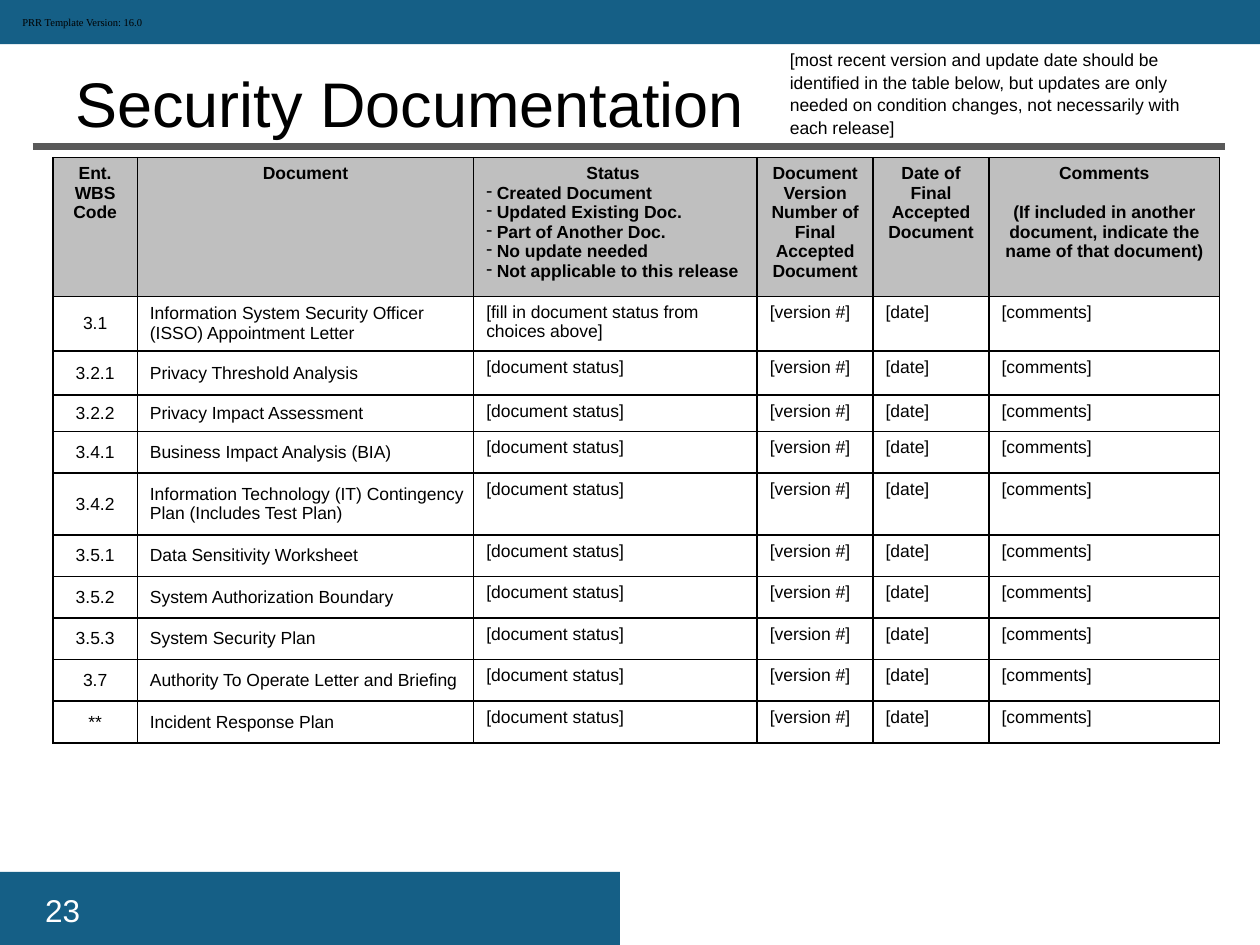
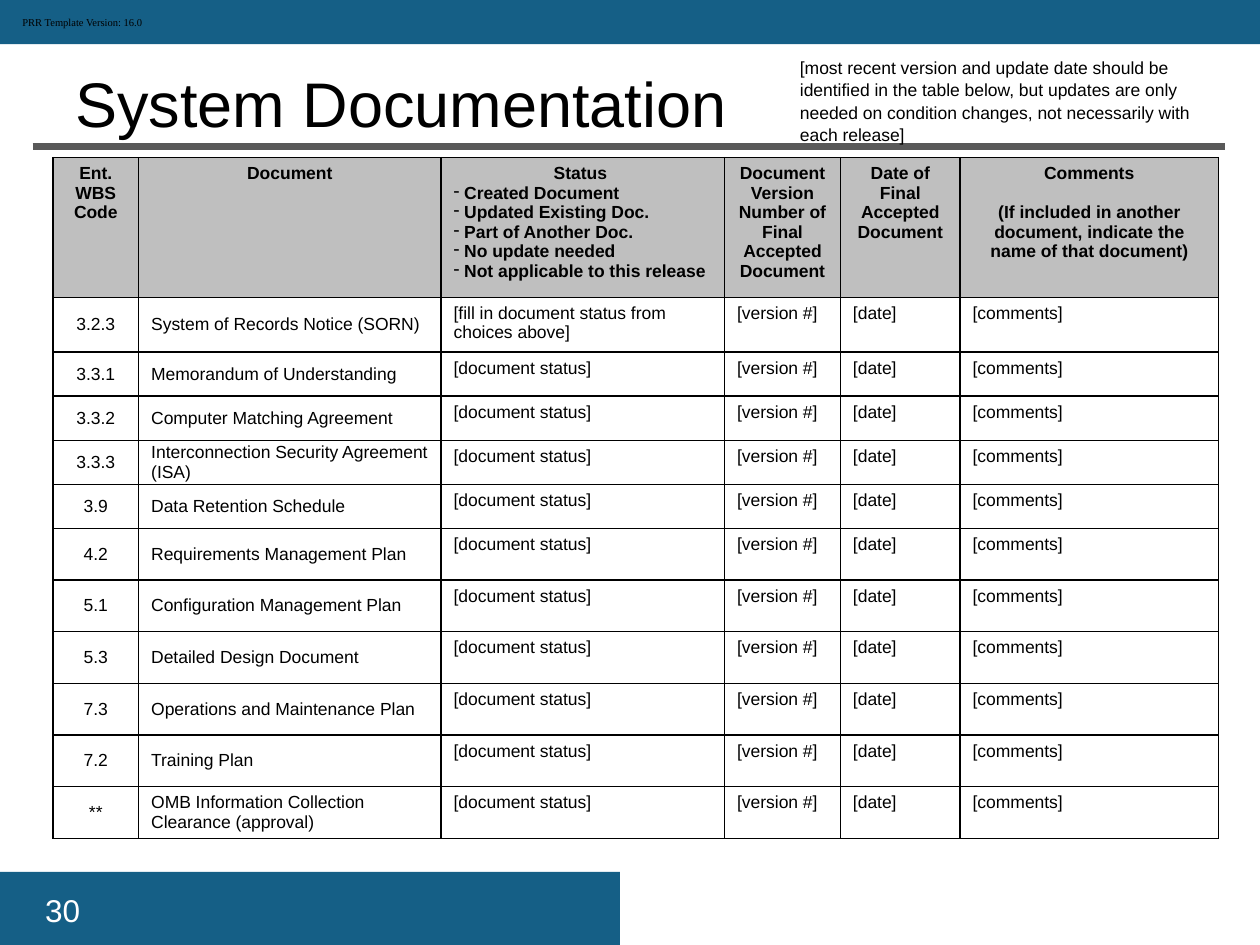
from dataclasses import dataclass

from lxml import etree
from pptx import Presentation
from pptx.dml.color import RGBColor
from pptx.enum.shapes import MSO_CONNECTOR, MSO_SHAPE
from pptx.enum.text import MSO_ANCHOR, PP_ALIGN
from pptx.oxml.ns import qn
from pptx.util import Inches, Pt

RECT = MSO_SHAPE.RECTANGLE
LINE = MSO_CONNECTOR.STRAIGHT
LEFT, CENTER = PP_ALIGN.LEFT, PP_ALIGN.CENTER
TOP, MIDDLE, BOTTOM = MSO_ANCHOR.TOP, MSO_ANCHOR.MIDDLE, MSO_ANCHOR.BOTTOM


# Colours, fonts and type sizes
@dataclass(frozen=True)
class Theme:
    band: str = "155F86"
    rule: str = "595959"
    head: str = "BFBFBF"
    ink: str = "000000"
    white: str = "FFFFFF"
    sans: str = "Arial"
    serif: str = "Times New Roman"
    title: float = 36
    page: float = 18
    body: float = 10
    stamp: float = 6
    lead: float = 1.07


@dataclass(frozen=True)
class Box:
    left: float
    top: float
    width: float
    height: float

    def place(self) -> tuple:
        return tuple(Inches(n) for n in (self.left, self.top, self.width, self.height))


@dataclass(frozen=True)
class Page:
    title: str
    number: int
    note: Box
    cols: list[float]
    rows: list[float]
    items: list[tuple[str, str]]


THEME = Theme()

# Wording shared by both slides
STAMP = "PRR Template Version: 16.0"
NOTE = ("[most recent version and update date should be identified in the table below, "
        "but updates are only needed on condition changes, not necessarily with each release]")
HEADS = [
    ["Ent. WBS Code"],
    ["Document"],
    ["Status ", " Created Document", " Updated Existing Doc.", " Part of Another Doc.",
     " No update needed", " Not applicable to this release"],
    ["Document Version Number of Final Accepted Document"],
    ["Date of Final Accepted Document"],
    ["Comments", "(If included in another document, indicate the name of that document)"],
]
STATUS, REMARK = 2, 5
FIRST = "[fill in document status from choices above]"
OTHER = "[document status]"
BLANKS = ["[version #]", "[date]", "[comments]"]

PAGES = [
    Page("Security Documentation", 23, Box(6.17, 0.33, 3.58, 0.77),
         [0.67, 2.67, 2.25, 0.92, 0.92, 1.83],
         [1.09, 0.41, 0.35, 0.29, 0.33, 0.49] + [0.33] * 5,
         [("3.1", "Information System Security Officer (ISSO) Appointment Letter"),
          ("3.2.1", "Privacy Threshold Analysis"),
          ("3.2.2", "Privacy Impact Assessment"),
          ("3.4.1", "Business Impact Analysis (BIA)"),
          ("3.4.2", "Information Technology (IT) Contingency Plan (Includes Test Plan)"),
          ("3.5.1", "Data Sensitivity Worksheet"),
          ("3.5.2", "System Authorization Boundary"),
          ("3.5.3", "System Security Plan"),
          ("3.7", "Authority To Operate Letter and Briefing"),
          ("**", "Incident Response Plan")]),
    Page("System Documentation", 30, Box(6.25, 0.39, 3.58, 0.77),
         [0.68, 2.4, 2.25, 0.92, 0.95, 2.05],
         [1.11, 0.43] + [0.35] * 4 + [0.41] * 6,
         [("3.2.3", "System of Records Notice (SORN)"),
          ("3.3.1", "Memorandum of Understanding"),
          ("3.3.2", "Computer Matching Agreement"),
          ("3.3.3", "Interconnection Security Agreement (ISA)"),
          ("3.9", "Data Retention Schedule"),
          ("4.2", "Requirements Management Plan"),
          ("5.1", "Configuration Management Plan"),
          ("5.3", "Detailed Design Document"),
          ("7.3", "Operations and Maintenance Plan"),
          ("7.2", "Training Plan"),
          ("**", "OMB Information Collection Clearance (approval)")]),
]


def style(para, size: float, color: str = THEME.ink, font: str = THEME.sans,
          bold: bool = False) -> None:
    for run in para.runs:
        run.font.size = Pt(size)
        run.font.name = font
        run.font.bold = bold
        run.font.color.rgb = RGBColor.from_string(color)


def add_text(slide, box: Box, text: str, size: float, color: str = THEME.ink,
             font: str = THEME.sans, anchor=TOP, lead: float = 1.0, wrap: bool = True) -> None:
    frame = slide.shapes.add_textbox(*box.place()).text_frame
    frame.word_wrap = wrap
    frame.vertical_anchor = anchor
    frame.text = text
    para = frame.paragraphs[0]
    para.line_spacing = lead
    style(para, size, color, font)


def add_band(slide, box: Box) -> None:
    band = slide.shapes.add_shape(RECT, *box.place())
    band.shadow.inherit = False
    band.fill.solid()
    band.fill.fore_color.rgb = RGBColor.from_string(THEME.band)
    band.line.fill.background()


def add_rule(slide) -> None:
    rule = slide.shapes.add_connector(LINE, Inches(0.26), Inches(1.16), Inches(9.72), Inches(1.16))
    rule.line.width = Pt(4)
    rule.line.color.rgb = RGBColor.from_string(THEME.rule)
    etree.SubElement(rule._element.spPr, qn("a:effectLst"))


def add_frame(slide, page: Page) -> None:
    """Bands, rule, title, page number, stamp and note."""
    add_band(slide, Box(0, 6.92, 4.92, 0.59))
    add_band(slide, Box(-0.02, 0, 10.03, 0.35))
    add_rule(slide)
    add_text(slide, Box(0.26, 7, 2.19, 0.4), str(page.number), THEME.page, THEME.white,
             lead=THEME.lead)
    add_text(slide, Box(0.5, 0.45, 9.35, 0.71), page.title, THEME.title, anchor=BOTTOM)
    add_text(slide, Box(0.08, 0.08, 1.17, 0.2), STAMP, THEME.stamp, font=THEME.serif, wrap=False)
    add_text(slide, page.note, NOTE, THEME.body, lead=THEME.lead)


def set_edges(cell) -> None:
    props = cell._tc.get_or_add_tcPr()
    for spot, side in enumerate(("lnL", "lnR", "lnT", "lnB")):
        edge = etree.Element(qn(f"a:{side}"), w=str(Pt(1)))
        fill = etree.SubElement(edge, qn("a:solidFill"))
        etree.SubElement(fill, qn("a:srgbClr"), val=THEME.ink)
        props.insert(spot, edge)


def set_cell(cell, text: str, align=LEFT, bold: bool = False) -> None:
    cell.text_frame.text = text
    for para in cell.text_frame.paragraphs:
        para.alignment = align
        style(para, THEME.body, bold=bold)
    cell.fill.background()
    set_edges(cell)


def set_head(cell, col: int) -> None:
    set_cell(cell, "\n".join(HEADS[col]), CENTER, True)
    cell.fill.solid()
    cell.fill.fore_color.rgb = RGBColor.from_string(THEME.head)
    for para in cell.text_frame.paragraphs[1:]:
        if col == STATUS:
            para.alignment = LEFT
            props = para._p.get_or_add_pPr()
            props.set("marL", "0")
            props.set("indent", "0")
            etree.SubElement(props, qn("a:buChar"), char="-")
        elif col == REMARK:
            para.space_before = Pt(11.2)


def set_lead(cell, text: str, align, inset: float) -> None:
    """A code or document name: centred in height, with tight margins."""
    set_cell(cell, text, align)
    cell.vertical_anchor = MIDDLE
    cell.margin_left = Inches(inset)
    cell.margin_right = cell.margin_top = cell.margin_bottom = 0


def add_grid(slide, page: Page) -> None:
    box = Box(0.42, 1.25, sum(page.cols), sum(page.rows))
    grid = slide.shapes.add_table(len(page.rows), len(page.cols), *box.place()).table
    grid.first_row = grid.horz_banding = False
    for col, width in zip(grid.columns, page.cols):
        col.width = Inches(width)
    for row, height in zip(grid.rows, page.rows):
        row.height = Inches(height)
    for col in range(len(HEADS)):
        set_head(grid.cell(0, col), col)
    for row, (code, name) in enumerate(page.items, 1):
        set_lead(grid.cell(row, 0), code, CENTER, 0)
        set_lead(grid.cell(row, 1), name, LEFT, 0.1)
        for col, text in enumerate([FIRST if row == 1 else OTHER] + BLANKS, STATUS):
            set_cell(grid.cell(row, col), text)


# Build the slides
deck = Presentation()
deck.slide_width, deck.slide_height = Inches(10), Inches(7.5)
for page in PAGES:
    slide = deck.slides.add_slide(deck.slide_layouts[6])
    add_frame(slide, page)
    add_grid(slide, page)
deck.save("out.pptx")
